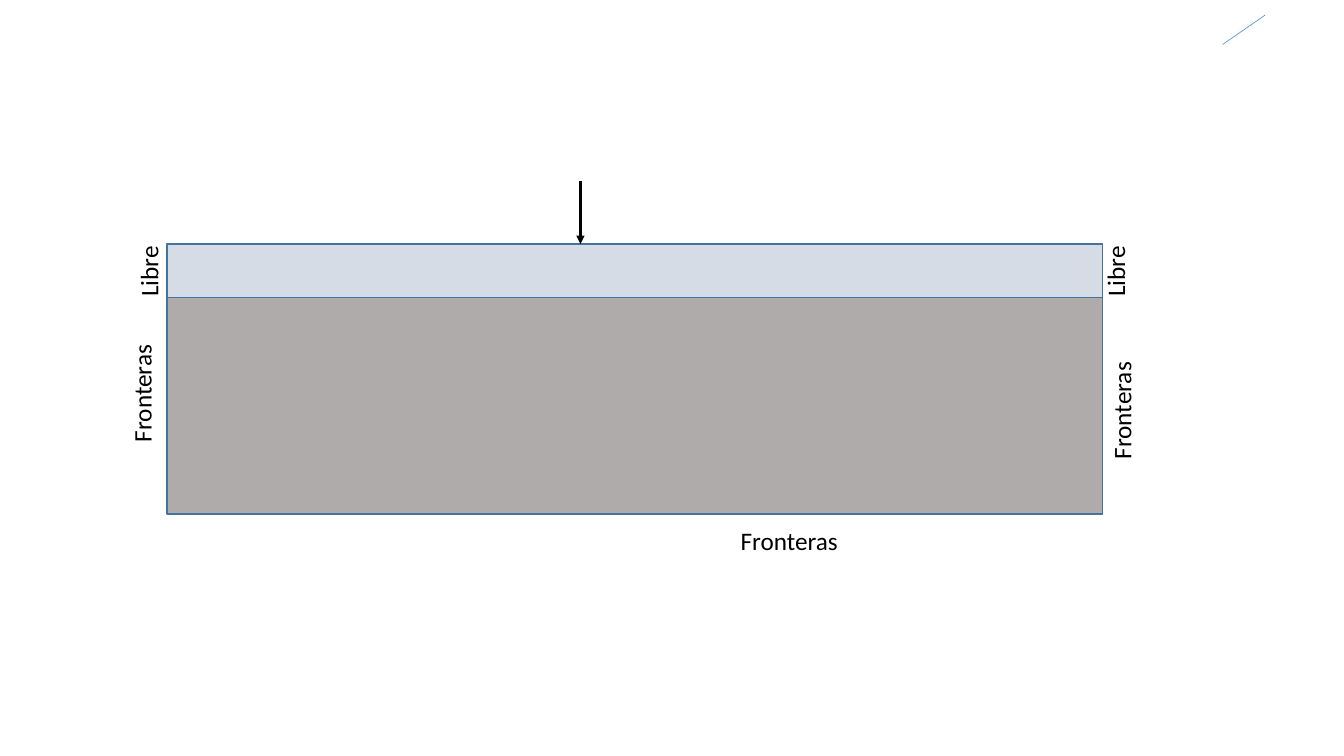
import dataclasses

import lxml.etree
import pptx
import pptx.dml.color
import pptx.enum.shapes
import pptx.enum.text
import pptx.oxml.ns
import pptx.util


@dataclasses.dataclass(frozen=True)
class Theme:
    font: str = "Calibri"
    label_size: float = 18
    ink: str = "000000"
    outline: str = "43739E"
    accent: str = "5B9BD5"
    surface: str = "D6DCE5"
    ground: str = "AFABAB"


class Diagram:
    columns = 32
    rows = 18

    def __init__(self, deck, theme):
        self.theme = theme
        self.page = deck.slides.add_slide(deck.slide_layouts[6])
        self.column = deck.slide_width / self.columns
        self.row = deck.slide_height / self.rows

    def place(self, column, row):
        return round(column * self.column), round(row * self.row)

    def color(self, value):
        return pptx.dml.color.RGBColor.from_string(value)

    def layer(self, left, top, width, height, fill):
        shape = self.page.shapes.add_shape(
            pptx.enum.shapes.MSO_SHAPE.RECTANGLE,
            *self.place(left, top), *self.place(width, height))
        shape.shadow.inherit = False
        shape.fill.solid()
        shape.fill.fore_color.rgb = self.color(fill)
        shape.line.color.rgb = self.color(self.theme.outline)
        shape.line.width = pptx.util.Pt(1)

    def label(self, text, left, top, width, rotation=0):
        box = self.page.shapes.add_textbox(
            *self.place(left, top), *self.place(width, 0.96))
        box.rotation = rotation
        frame = box.text_frame
        frame.word_wrap = True
        frame.auto_size = pptx.enum.text.MSO_AUTO_SIZE.SHAPE_TO_FIT_TEXT
        frame.text = text
        font = frame.paragraphs[0].runs[0].font
        font.name = self.theme.font
        font.size = pptx.util.Pt(self.theme.label_size)
        font.color.rgb = self.color(self.theme.ink)

    def line(self, start, end, color, width, arrow=False):
        connector = self.page.shapes.add_connector(
            pptx.enum.shapes.MSO_CONNECTOR.STRAIGHT,
            *self.place(*start), *self.place(*end))
        connector.line.color.rgb = self.color(color)
        connector.line.width = pptx.util.Pt(width)
        properties = connector._element.spPr
        lxml.etree.SubElement(properties, pptx.oxml.ns.qn("a:effectLst"))
        if arrow:
            outline = properties.find(pptx.oxml.ns.qn("a:ln"))
            lxml.etree.SubElement(
                outline, pptx.oxml.ns.qn("a:tailEnd"), type="triangle")


def main():
    deck = pptx.Presentation()
    deck.slide_width = pptx.util.Inches(13.33)
    deck.slide_height = pptx.util.Inches(7.5)
    theme = Theme()
    diagram = Diagram(deck, theme)

    left, width = 3.98, 22.27
    surface_top, surface_height, ground_height = 5.81, 1.27, 5.16
    ground_top = surface_top + surface_height

    diagram.line((29.11, 1.06), (30.12, 0.36), theme.accent, 0.5)
    diagram.layer(left, ground_top, width, ground_height, theme.ground)
    diagram.layer(left, surface_top, width, surface_height, theme.surface)
    diagram.line((13.82, 4.3), (13.82, surface_top), theme.ink, 2, arrow=True)

    for label_left, label_top in ((1.87, 8.78), (25.2, 9.19)):
        diagram.label("Fronteras", label_left, label_top, 3, rotation=270)
    diagram.label("Fronteras", 17.4, 12.38, 3)
    for label_left in (2.28, 25.3):
        diagram.label("Libre", label_left, 5.57, 2.5, rotation=270)

    deck.save("out.pptx")


if __name__ == "__main__":
    main()
